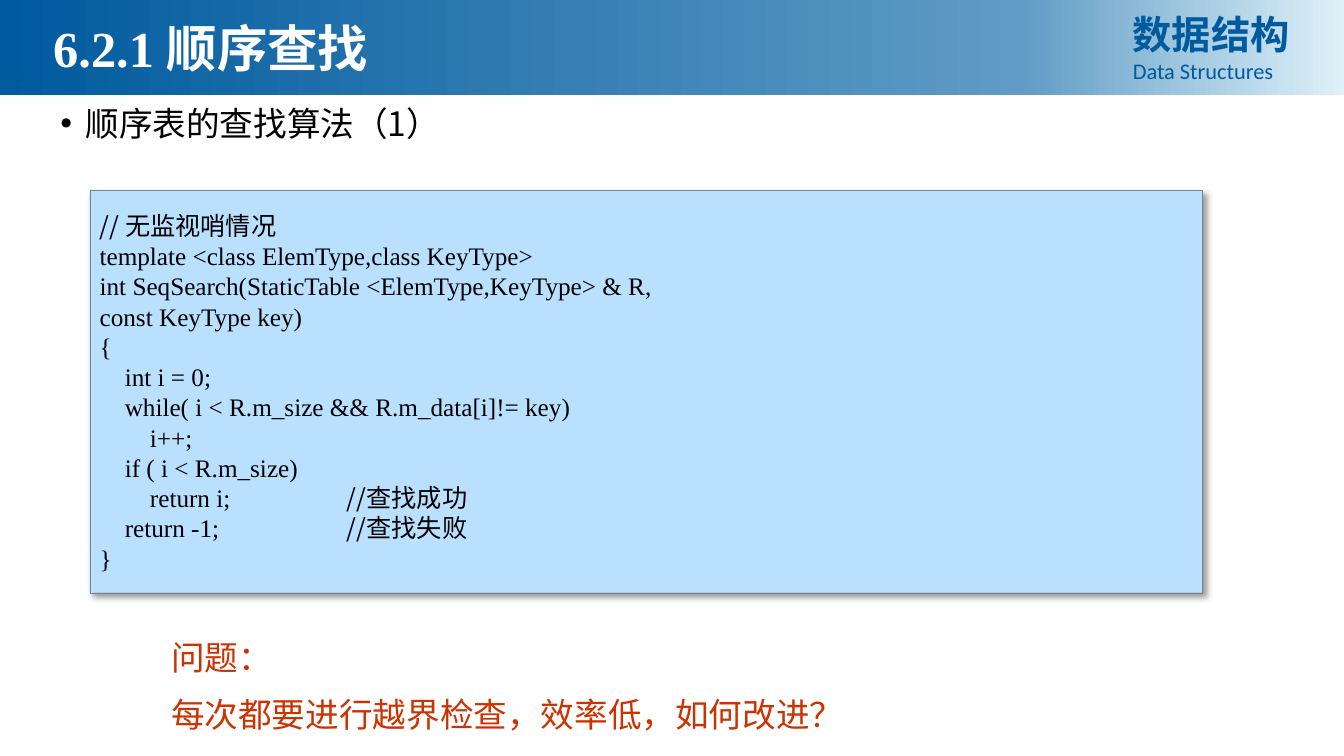
from dataclasses import dataclass

from lxml.etree import SubElement
from pptx import Presentation
from pptx.dml.color import RGBColor
from pptx.enum.shapes import MSO_SHAPE
from pptx.enum.text import MSO_ANCHOR, MSO_AUTO_SIZE, PP_ALIGN
from pptx.oxml import parse_xml
from pptx.oxml.ns import nsdecls, qn
from pptx.shapes.autoshape import Shape
from pptx.text.text import TextFrame
from pptx.util import Emu, Inches, Pt

COLS, ROWS = 160, 90
WIDE, HIGH = Inches(13.33), Inches(7.5)


@dataclass(frozen=True)
class Theme:
    blue: str = "005A9E"
    mid: str = "609CC5"
    pale: str = "DEF1F9"
    panel: str = "B9E1FF"
    edge: str = "778495"
    white: str = "FFFFFF"
    black: str = "000000"
    red: str = "CC3300"
    sans: str = "Noto Sans CJK SC"
    serif: str = "Times New Roman"
    plain: str = "Calibri"
    title: int = 36
    brand: int = 28
    body: int = 24
    code: int = 18
    small: int = 16


@dataclass(frozen=True)
class Box:
    """Place on the grid, in columns and rows."""
    col: float
    row: float
    cols: float
    rows: float

    def spot(self) -> tuple[Emu, Emu, Emu, Emu]:
        wide, high = WIDE / COLS, HIGH / ROWS
        return (Emu(round(self.col * wide)), Emu(round(self.row * high)),
                Emu(round(self.cols * wide)), Emu(round(self.rows * high)))


@dataclass(frozen=True)
class Piece:
    text: str
    font: str


@dataclass(frozen=True)
class Line:
    runs: tuple[Piece, ...]
    size: int
    color: str
    bold: bool = False
    align: PP_ALIGN = PP_ALIGN.LEFT
    pitch: float = 1.2
    before: int = 0
    bullet: bool = False
    tab: float = 0


@dataclass(frozen=True)
class Block:
    box: Box
    lines: tuple[Line, ...]
    grow: bool = True


T = Theme()


def write(frame: TextFrame, lines: tuple[Line, ...]) -> None:
    frame.word_wrap = True
    for i, line in enumerate(lines):
        para = frame.paragraphs[0] if i == 0 else frame.add_paragraph()
        para.alignment = line.align
        para.line_spacing = Pt(line.size * line.pitch)
        if line.before:
            para.space_before = Pt(line.before)
        props = para._p.get_or_add_pPr()
        if line.bullet:
            props.set("marL", str(Inches(0.25)))
            props.set("indent", str(Inches(-0.25)))
            SubElement(props, qn("a:buFont"), typeface="Arial")
            SubElement(props, qn("a:buChar"), char="•")
        if line.tab:
            tabs = SubElement(props, qn("a:tabLst"))
            SubElement(tabs, qn("a:tab"), pos=str(Inches(line.tab)), algn="l")
        for piece in line.runs:
            run = para.add_run()
            run.text = piece.text
            run.font.size = Pt(line.size)
            run.font.bold = line.bold
            run.font.color.rgb = RGBColor.from_string(line.color)
            run.font.name = piece.font
            SubElement(run._r.get_or_add_rPr(), qn("a:ea"), typeface=T.sans)


def add_rect(slide, box: Box) -> Shape:
    shape = slide.shapes.add_shape(MSO_SHAPE.RECTANGLE, *box.spot())
    shape.shadow.inherit = False
    return shape


def add_bar(slide, box: Box, stops: tuple[tuple[int, str], ...]) -> None:
    bar = add_rect(slide, box)
    bar.line.fill.background()
    bar.fill.gradient()
    bar.fill.gradient_angle = 0
    marks = bar._element.spPr.find(qn("a:gradFill")).find(qn("a:gsLst"))
    for old in list(marks):
        marks.remove(old)
    for place, color in stops:
        stop = SubElement(marks, qn("a:gs"), pos=str(place * 1000))
        SubElement(stop, qn("a:srgbClr"), val=color)


def add_panel(slide, block: Block) -> None:
    panel = add_rect(slide, block.box)
    panel.fill.solid()
    panel.fill.fore_color.rgb = RGBColor.from_string(T.panel)
    panel.line.color.rgb = RGBColor.from_string(T.edge)
    panel.line.width = Pt(0.25)
    panel._element.spPr.find(qn("a:effectLst")).append(parse_xml(
        f'<a:outerShdw {nsdecls("a")} blurRad="{Pt(4)}" dist="{Pt(4)}" '
        f'dir="2700000" algn="tl" rotWithShape="0"><a:srgbClr val="{T.black}">'
        '<a:alpha val="40000"/></a:srgbClr></a:outerShdw>'))
    panel.text_frame.vertical_anchor = MSO_ANCHOR.MIDDLE
    write(panel.text_frame, block.lines)


def add_text(slide, block: Block) -> None:
    frame = slide.shapes.add_textbox(*block.box.spot()).text_frame
    write(frame, block.lines)
    if block.grow:
        frame.auto_size = MSO_AUTO_SIZE.SHAPE_TO_FIT_TEXT


def code(text: str, note: str = "") -> Line:
    """Code line, with its comment set at a tab stop."""
    runs = (Piece(text + "\t" if text and note else text, T.serif),
            Piece(note, T.sans))
    return Line(tuple(r for r in runs if r.text), T.code, T.black,
                tab=2.45 if text and note else 0)


STOPS = ((0, T.blue), (76, T.mid), (100, T.pale))
TEXTS = (
    Block(Box(133.68, 0.6, 22.92, 10.08), (
        Line((Piece("数据结构", T.sans),), T.brand, T.blue, True, PP_ALIGN.JUSTIFY),
        Line((Piece("Data Structures", T.plain),), T.small, T.blue,
             align=PP_ALIGN.JUSTIFY))),
    Block(Box(5.16, 1.44, 67.68, 8.52), (
        Line((Piece("6.2.1 顺序查找", T.serif),), T.title, T.white, True),)),
    Block(Box(6, 12.12, 147.6, 68.88), (
        Line((Piece("顺序表的查找算法（1）", T.sans),), T.body, T.black,
             pitch=1.08, bullet=True),), grow=False),
    Block(Box(19.2, 75.24, 121.56, 13.32), (
        Line((Piece("问题：", T.sans),), T.body, T.red),
        Line((Piece("每次都要进行越界检查，效率低，如何改进？", T.sans),),
             T.body, T.red, before=12))),
)
SEARCH = Block(Box(10.68, 22.68, 132.48, 47.88), (
    code("", "// 无监视哨情况"),
    code("template <class ElemType,class KeyType>"),
    code("int SeqSearch(StaticTable <ElemType,KeyType> & R,"),
    code("const KeyType key)"),
    code("{"),
    code("    int i = 0;"),
    code("    while( i < R.m_size && R.m_data[i]!= key)"),
    code("        i++;"),
    code("    if ( i < R.m_size)"),
    code("        return i;", "//查找成功"),
    code("    return -1;", "//查找失败"),
    code("}"),
))


def main() -> None:
    deck = Presentation()
    deck.slide_width, deck.slide_height = WIDE, HIGH
    slide = deck.slides.add_slide(deck.slide_layouts[6])
    add_bar(slide, Box(0, 0, COLS, 11.28), STOPS)
    add_panel(slide, SEARCH)
    for block in TEXTS:
        add_text(slide, block)
    deck.save("out.pptx")


if __name__ == "__main__":
    main()
